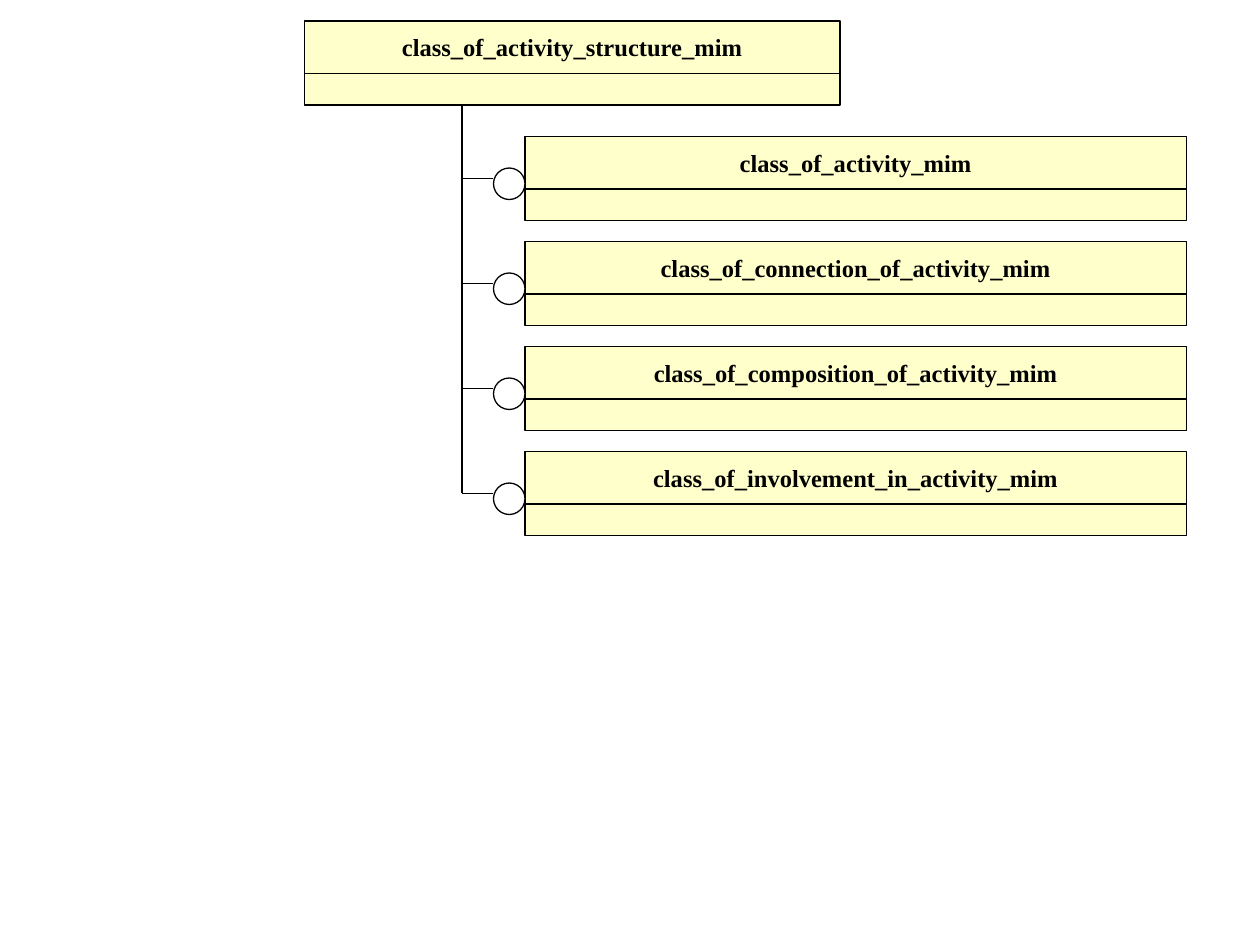
from dataclasses import dataclass

from lxml.etree import SubElement
from pptx import Presentation
from pptx.dml.color import RGBColor
from pptx.enum.shapes import MSO_CONNECTOR, MSO_SHAPE as Shape
from pptx.enum.text import MSO_ANCHOR, PP_ALIGN
from pptx.oxml.ns import qn
from pptx.shapes.autoshape import Shape as AutoShape
from pptx.slide import Slide
from pptx.util import Cm, Pt

BLACK = RGBColor(0x00, 0x00, 0x00)
WHITE = RGBColor(0xFF, 0xFF, 0xFF)
CREAM = RGBColor(0xFF, 0xFF, 0xCC)
LINE_WIDTH = Pt(0.75)

# Layout is measured in grid steps, twelve to the inch.
NAME_HEIGHT = 5
BODY_HEIGHT = 3
CIRCLE_SIZE = 3
TRUNK_X = 44
CIRCLE_X = 47
CHILD_X = CIRCLE_X + CIRCLE_SIZE
CHILD_WIDTH = 63
FIRST_CHILD_Y = 13
CHILD_PITCH = 10
BRANCH_DROP = 4

CHILD_NAMES = [
    "class_of_activity_mim",
    "class_of_connection_of_activity_mim",
    "class_of_composition_of_activity_mim",
    "class_of_involvement_in_activity_mim",
]


@dataclass(frozen=True)
class Entity:
    name: str
    left: int
    top: int
    width: int

    @property
    def bottom(self) -> int:
        return self.top + NAME_HEIGHT + BODY_HEIGHT


def grid(steps: int) -> Cm:
    return Cm(2.54 * steps / 12)


def draw_outlined(shapes, kind: Shape, left: int, top: int, width: int,
                  height: int, fill: RGBColor) -> AutoShape:
    box = shapes.add_shape(kind, grid(left), grid(top), grid(width), grid(height))
    box.shadow.inherit = False
    box.fill.solid()
    box.fill.fore_color.rgb = fill
    box.line.color.rgb = BLACK
    box.line.width = LINE_WIDTH
    return box


def draw_entity(page: Slide, entity: Entity) -> None:
    """Draw a grouped name compartment above an empty body compartment."""
    shapes = page.shapes.add_group_shape().shapes
    name_box = draw_outlined(shapes, Shape.RECTANGLE, entity.left, entity.top,
                             entity.width, NAME_HEIGHT, CREAM)
    draw_outlined(shapes, Shape.RECTANGLE, entity.left, entity.top + NAME_HEIGHT,
                  entity.width, BODY_HEIGHT, CREAM)
    frame = name_box.text_frame
    frame.word_wrap = False
    frame.vertical_anchor = MSO_ANCHOR.MIDDLE
    para = frame.paragraphs[0]
    para.text = entity.name
    para.alignment = PP_ALIGN.CENTER
    para.font.name = "Times New Roman"
    para.font.size = Pt(14)
    para.font.bold = True
    para.font.color.rgb = BLACK


def draw_line(page: Slide, x1: int, y1: int, x2: int, y2: int) -> None:
    line = page.shapes.add_connector(MSO_CONNECTOR.STRAIGHT, grid(x1), grid(y1),
                                     grid(x2), grid(y2))
    line.line.color.rgb = BLACK
    line.line.width = LINE_WIDTH
    SubElement(line._element.spPr, qn("a:effectLst"))


def draw_branch(page: Slide, child: Entity) -> None:
    """Link the trunk to a child with a short line and a circle."""
    draw_outlined(page.shapes, Shape.OVAL, CIRCLE_X, child.top + 3,
                  CIRCLE_SIZE, CIRCLE_SIZE, WHITE)
    branch_y = child.top + BRANCH_DROP
    draw_line(page, TRUNK_X, branch_y, CIRCLE_X, branch_y)


def main() -> None:
    deck = Presentation()
    deck.slide_width, deck.slide_height = Cm(25.4), Cm(19.05)
    page = deck.slides.add_slide(deck.slide_layouts[6])

    parent = Entity("class_of_activity_structure_mim", 29, 2, 51)
    children = [
        Entity(name, CHILD_X, FIRST_CHILD_Y + CHILD_PITCH * row, CHILD_WIDTH)
        for row, name in enumerate(CHILD_NAMES)
    ]
    draw_entity(page, parent)
    draw_line(page, TRUNK_X, children[-1].top + BRANCH_DROP, TRUNK_X, parent.bottom)
    for child in children:
        draw_entity(page, child)
        draw_branch(page, child)

    deck.save("out.pptx")


if __name__ == "__main__":
    main()
